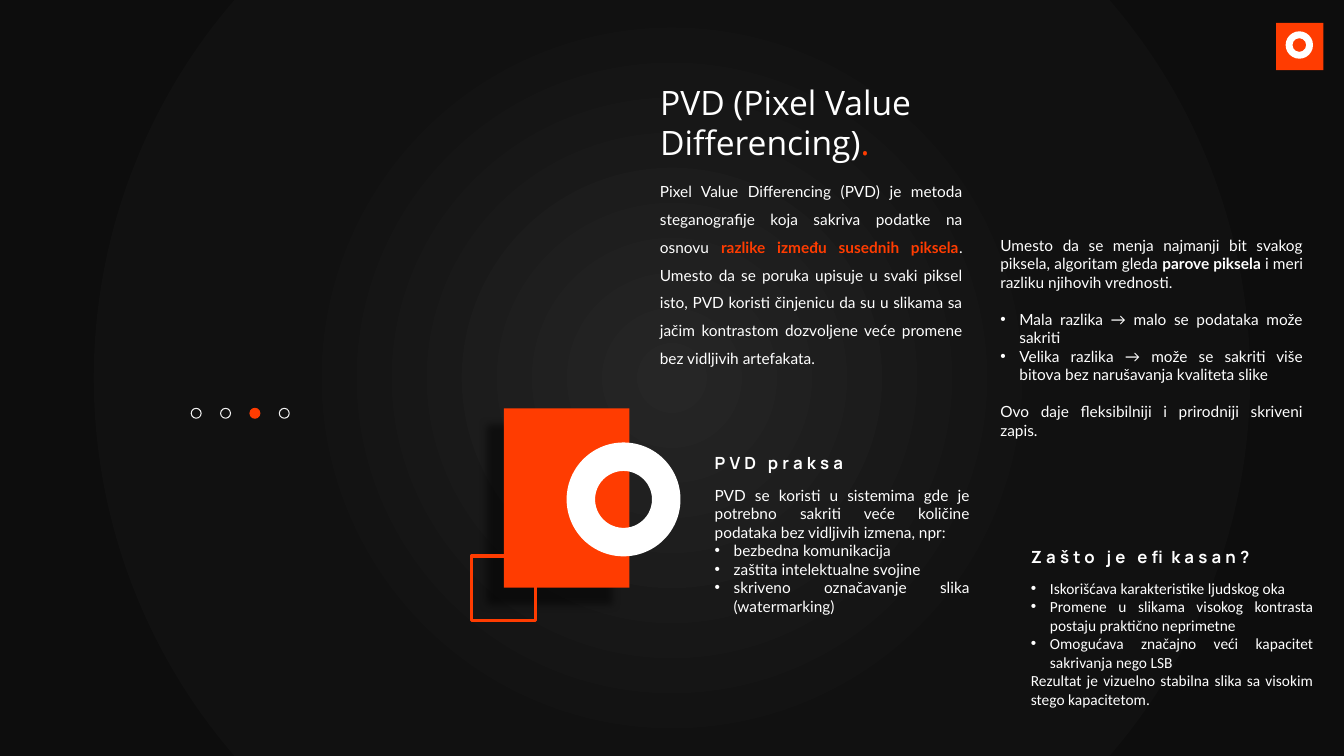
from dataclasses import dataclass

from lxml import etree
from pptx import Presentation
from pptx.dml.color import RGBColor
from pptx.enum.shapes import MSO_SHAPE
from pptx.enum.text import MSO_ANCHOR, MSO_AUTO_SIZE, PP_ALIGN
from pptx.oxml import parse_xml
from pptx.oxml.ns import nsdecls, qn
from pptx.util import Cm, Pt

RECTANGLE, OVAL, DONUT = MSO_SHAPE.RECTANGLE, MSO_SHAPE.OVAL, MSO_SHAPE.DONUT
LEFT, JUSTIFY = PP_ALIGN.LEFT, PP_ALIGN.JUSTIFY
TOP, NO_FIT = MSO_ANCHOR.TOP, MSO_AUTO_SIZE.NONE
ORANGE, WHITE, PALE = "FF3C01", "FFFFFF", "F2F2F2"
WIDTH, HEIGHT = 33.87, 19.05
BULLET_INDENT = 0.48
BLANK_LINE = 13.2


@dataclass(frozen=True)
class Span:
    text: str
    color: str = WHITE
    bold: bool = False


@dataclass(frozen=True)
class Para:
    spans: tuple[Span, ...]
    bullet: bool = False
    before: float = 0


@dataclass(frozen=True)
class TextBlock:
    place: tuple[float, float, float, float]
    paras: tuple[Para, ...]
    font: str = "Lato"
    size: float = 11
    align: PP_ALIGN = JUSTIFY
    spacing: float = 1.0
    tracking: int = 0


@dataclass(frozen=True)
class Figure:
    kind: MSO_SHAPE
    place: tuple[float, float, float, float]
    fill: str | None = None
    line: str | None = None
    weight: float = 0.75


def plain(text: str, bullet: bool = False, before: float = 0) -> Para:
    """Return a paragraph of one white span."""
    return Para((Span(text),), bullet, before)


CARD = Figure(RECTANGLE, (12.7, 10.29, 3.16, 4.52), ORANGE)
ORNAMENTS = (
    Figure(DONUT, (14.28, 11.15, 2.87, 2.87), WHITE),
    Figure(RECTANGLE, (11.88, 14.01, 1.62, 1.62), None, ORANGE, 2.25),
    Figure(RECTANGLE, (32.16, 0.58, 1.19, 1.19), ORANGE),
    Figure(DONUT, (32.4, 0.79, 0.69, 0.69), WHITE),
)
DOT_COUNT, ACTIVE_DOT = 4, 2
DOT_LEFT, DOT_TOP, DOT_STEP, DOT_SIZE = 4.82, 10.29, 0.74, 0.25

TITLE = TextBlock(
    (16.38, 1.93, 7.92, 2.31),
    (plain("PVD (Pixel Value"), Para((Span("Differencing)"), Span(".", ORANGE)))),
    "Open Sans", 24, LEFT,
)
BLOCKS = (
    TextBlock((16.38, 4.24, 8.13, 5.11), (
        Para((
            Span("Pixel Value Differencing (PVD) je metoda steganografije koja sakriva podatke na osnovu "),
            Span("razlike između susednih piksela", ORANGE, True),
            Span(". Umesto da se poruka upisuje u svaki piksel isto, PVD koristi činjenicu da su u "
                 "slikama sa jačim kontrastom dozvoljene veće promene bez vidljivih artefakata."),
        )),
    ), spacing=1.5),
    TextBlock((24.96, 5.82, 8.13, 5.44), (
        Para((
            Span("Umesto da se menja najmanji bit svakog piksela, algoritam gleda "),
            Span("parove piksela ", bold=True),
            Span("i meri razliku njihovih vrednosti."),
        )),
        plain("Mala razlika → malo se podataka može sakriti", True, BLANK_LINE),
        plain("Velika razlika → može se sakriti više bitova bez narušavanja kvaliteta slike", True),
        plain("Ovo daje fleksibilniji i prirodniji skriveni zapis.", before=BLANK_LINE),
    )),
    TextBlock((17.76, 12.12, 6.93, 3.56), (
        plain("PVD se koristi u sistemima gde je potrebno sakriti veće količine podataka "
              "bez vidljivih izmena, npr:"),
        plain("bezbedna komunikacija", True),
        plain("zaštita intelektualne svojine", True),
        plain("skriveno označavanje slika (watermarking)", True),
    )),
    TextBlock((25.73, 14.46, 7.62, 3.56), (
        plain("Iskorišćava karakteristike ljudskog oka", True),
        plain("Promene u slikama visokog kontrasta postaju praktično neprimetne", True),
        plain("Omogućava značajno veći kapacitet sakrivanja nego LSB", True),
        plain("Rezultat je vizuelno stabilna slika sa visokim stego kapacitetom."),
    ), "Calibri"),
) + tuple(
    TextBlock(place, (Para((Span(text, bold=True),)),), "Manrope", 12, LEFT, tracking=300)
    for text, place in (
        ("PVD praksa", (17.76, 11.28, 4.11, 0.76)),
        ("Zašto je efikasan?", (25.73, 13.64, 6.38, 0.76)),
    )
)


def rgb(color: str) -> RGBColor:
    """Turn a hex string into a colour."""
    return RGBColor.from_string(color)


def apply(target, values: dict) -> None:
    """Set every attribute named in the dict."""
    for name, value in values.items():
        setattr(target, name, value)


def draw_figure(slide, figure: Figure):
    """Draw one preset shape and return it."""
    shape = slide.shapes.add_shape(figure.kind, *map(Cm, figure.place))
    shape.shadow.inherit = False
    for format_part, color in ((shape.fill, figure.fill), (shape.line.fill, figure.line)):
        if color:
            format_part.solid()
            format_part.fore_color.rgb = rgb(color)
        else:
            format_part.background()
    if figure.line:
        shape.line.width = Pt(figure.weight)
    return shape


def draw_backdrop(slide) -> None:
    """Cover the slide with a dark radial gradient."""
    shape = draw_figure(slide, Figure(RECTANGLE, (0, 0, WIDTH, HEIGHT), "111111"))
    stops = "".join(
        f'<a:gs pos="{position * 1000}"><a:srgbClr val="{color}"/></a:gs>'
        for position, color in ((0, "262626"), (50, "111111"), (100, "0D0D0D"))
    )
    gradient = parse_xml(
        f'<a:gradFill {nsdecls("a")} rotWithShape="1"><a:gsLst>{stops}</a:gsLst><a:path path="circle">'
        '<a:fillToRect l="50000" t="50000" r="50000" b="50000"/></a:path></a:gradFill>'
    )
    properties = shape.element.spPr
    properties.replace(properties.find(qn("a:solidFill")), gradient)


def add_shadow(shape) -> None:
    """Cast a soft shadow to the lower left."""
    effects = shape.element.spPr.find(qn("a:effectLst"))
    shadow = etree.SubElement(effects, qn("a:outerShdw"), blurRad=str(Pt(6)), dist=str(Pt(17)),
                              dir=str(135 * 60000), algn="tr", rotWithShape="0")
    color = etree.SubElement(shadow, qn("a:srgbClr"), val="000000")
    etree.SubElement(color, qn("a:alpha"), val="50000")


def add_bullet(para) -> None:
    """Give a paragraph a hanging bullet."""
    properties = para._p.get_or_add_pPr()
    properties.set("marL", str(Cm(BULLET_INDENT)))
    properties.set("indent", str(-Cm(BULLET_INDENT)))
    etree.SubElement(properties, qn("a:buFont"), typeface="Arial")
    etree.SubElement(properties, qn("a:buChar"), char="•")


def write_block(box, block: TextBlock) -> None:
    """Place a text shape and fill it with formatted paragraphs."""
    apply(box, dict(zip(("left", "top", "width", "height"), map(Cm, block.place))))
    frame = box.text_frame
    apply(frame, {"word_wrap": True, "auto_size": NO_FIT, "vertical_anchor": TOP})
    for index, item in enumerate(block.paras):
        para = frame.add_paragraph() if index else frame.paragraphs[0]
        if item.bullet:
            add_bullet(para)
        apply(para, {"alignment": block.align, "line_spacing": block.spacing,
                     "space_before": Pt(item.before)})
        for span in item.spans:
            run = para.add_run()
            run.text = span.text
            apply(run.font, {"name": block.font, "size": Pt(block.size), "bold": span.bold})
            run.font.color.rgb = rgb(span.color)
            if block.tracking:
                run.font._element.set("spc", str(block.tracking))


def main() -> None:
    """Build the slide and save the deck."""
    deck = Presentation()
    apply(deck, {"slide_width": Cm(WIDTH), "slide_height": Cm(HEIGHT)})
    slide = deck.slides.add_slide(deck.slide_layouts[5])
    draw_backdrop(slide)
    add_shadow(draw_figure(slide, CARD))
    for figure in ORNAMENTS:
        draw_figure(slide, figure)
    for index in range(DOT_COUNT):
        active = index == ACTIVE_DOT
        place = (DOT_LEFT + index * DOT_STEP, DOT_TOP, DOT_SIZE, DOT_SIZE)
        draw_figure(slide, Figure(OVAL, place, ORANGE if active else None, ORANGE if active else PALE))
    title = slide.shapes.title
    slide.shapes._spTree.append(title.element)
    write_block(title, TITLE)
    for block in BLOCKS:
        write_block(slide.shapes.add_textbox(0, 0, 0, 0), block)
    deck.save("out.pptx")


if __name__ == "__main__":
    main()
